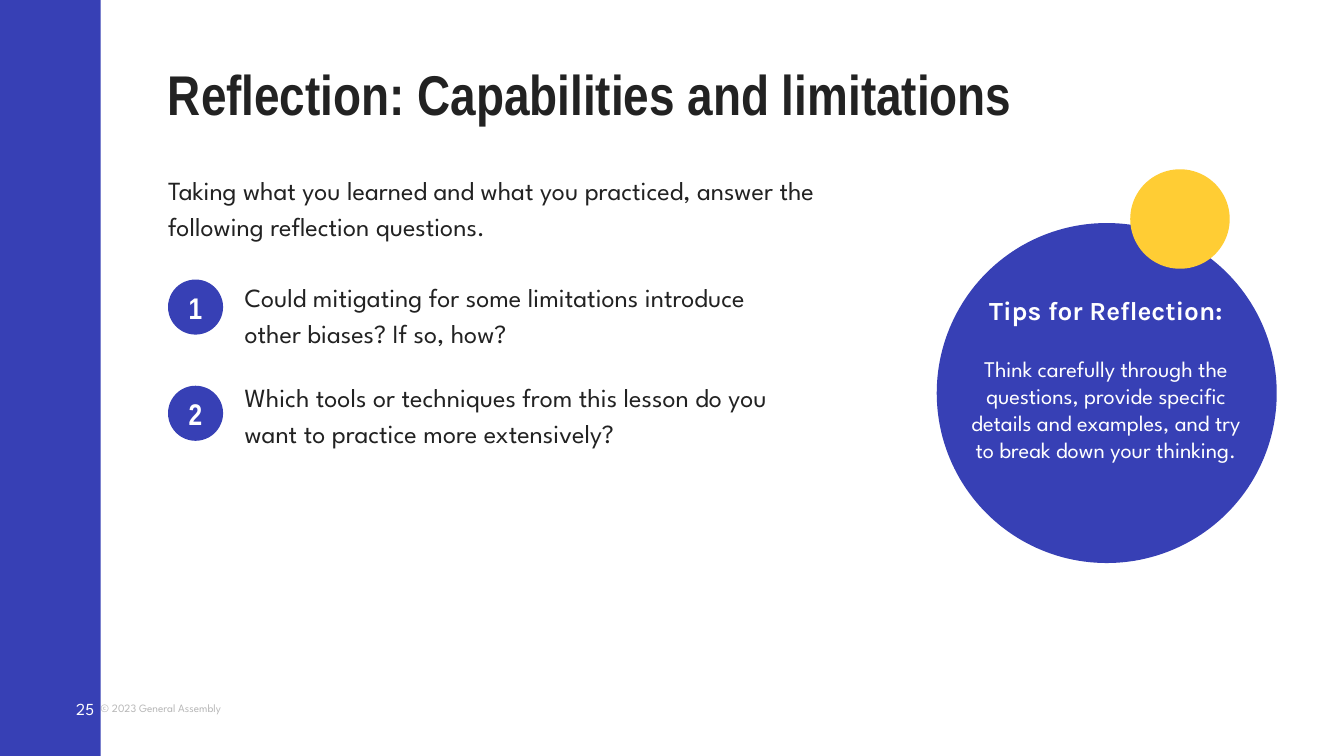
"""Build the reflection slide: side bar, numbered questions and a round tips panel."""
from pptx import Presentation
from pptx.dml.color import RGBColor
from pptx.enum.shapes import MSO_SHAPE
from pptx.enum.text import MSO_ANCHOR, PP_ALIGN
from pptx.util import Inches, Pt

RECT, OVAL = MSO_SHAPE.RECTANGLE, MSO_SHAPE.OVAL
TOP, MIDDLE = MSO_ANCHOR.TOP, MSO_ANCHOR.MIDDLE
LEFT, CENTER, RIGHT = PP_ALIGN.LEFT, PP_ALIGN.CENTER, PP_ALIGN.RIGHT
BLUE, YELLOW, INK, GREY, WHITE = "3740B5", "FFCD34", "222222", "B7B7B7", "FFFFFF"
BODY, HEADING, ACCENT = "League Spartan", "Arial Narrow", "Karla"
CELL = Inches(0.25)
COLUMNS, ROWS = 40, 22.5

deck = Presentation()
deck.slide_width, deck.slide_height = int(COLUMNS * CELL), int(ROWS * CELL)
slide = deck.slides.add_slide(deck.slide_layouts[6])


def panel(kind, color, *cells):
    shape = slide.shapes.add_shape(kind, *(int(n * CELL) for n in cells))
    shape.shadow.inherit = False
    shape.fill.solid()
    shape.fill.fore_color.rgb = RGBColor.from_string(color)
    shape.line.fill.background()
    return shape


def write(text, cells=None, host=None, more=False, font=BODY, size=14, color=INK, bold=False,
          align=LEFT, anchor=TOP, spacing=1.0, after=0, inset=0):
    host = host or slide.shapes.add_textbox(*(int(n * CELL) for n in cells))
    frame = host.text_frame
    frame.word_wrap = True
    frame.vertical_anchor = anchor
    frame.margin_left = frame.margin_right = int(inset * CELL)
    frame.margin_top = frame.margin_bottom = int(inset * CELL)
    paragraph = frame.add_paragraph() if more else frame.paragraphs[0]
    paragraph.alignment = align
    paragraph.line_spacing = spacing
    paragraph.space_after = Pt(after)
    run = paragraph.add_run()
    run.text = text
    run.font.name, run.font.size, run.font.bold = font, Pt(size), bold
    run.font.color.rgb = RGBColor.from_string(color)
    return host


write("© 2023 General Assembly", (3, 20.68, 4, 0.8), size=6, color=GREY, anchor=MIDDLE)
panel(RECT, BLUE, 0, 0, 3, ROWS)
write("25", (1.4, 20.4, 1.4, 1.4), size=9, color=WHITE, align=RIGHT, anchor=MIDDLE)

write("Reflection: Capabilities and limitations", (5, 2, 25.72, 1.8),
      font=HEADING, size=30, bold=True, spacing=0.9)
write("Taking what you learned and what you practiced, answer the following reflection questions.",
      (5, 5.04, 21, 2.44), spacing=1.15, after=10)

questions = [
    "Could mitigating for some limitations introduce other biases? If so, how?",
    "Which tools or techniques from this lesson do you want to practice more extensively?",
]
for index, question in enumerate(questions):
    badge = panel(OVAL, BLUE, 5, 8.32 + 3.16 * index, 1.64, 1.64)
    write(str(index + 1), host=badge, font=HEADING, size=16, color=WHITE, bold=True,
          align=CENTER, anchor=MIDDLE)
    write(question, (7.28, 8.32 + 2.96 * index, 16.72, 2), anchor=MIDDLE, spacing=1.15, after=10)

panel(OVAL, BLUE, 27.88, 6.64, 10.12, 10.12)
tips = write("Tips for Reflection:", (28.24, 8.36, 9.36, 6.72), font=ACCENT, color=WHITE,
             bold=True, align=CENTER, after=16, inset=0.4)
write("Think carefully through the questions, provide specific details and examples, "
      "and try to break down your thinking.", host=tips, more=True, size=12, color=WHITE,
      align=CENTER, inset=0.4)
panel(OVAL, YELLOW, 33.64, 5.04, 2.96, 2.96)

deck.save("out.pptx")
